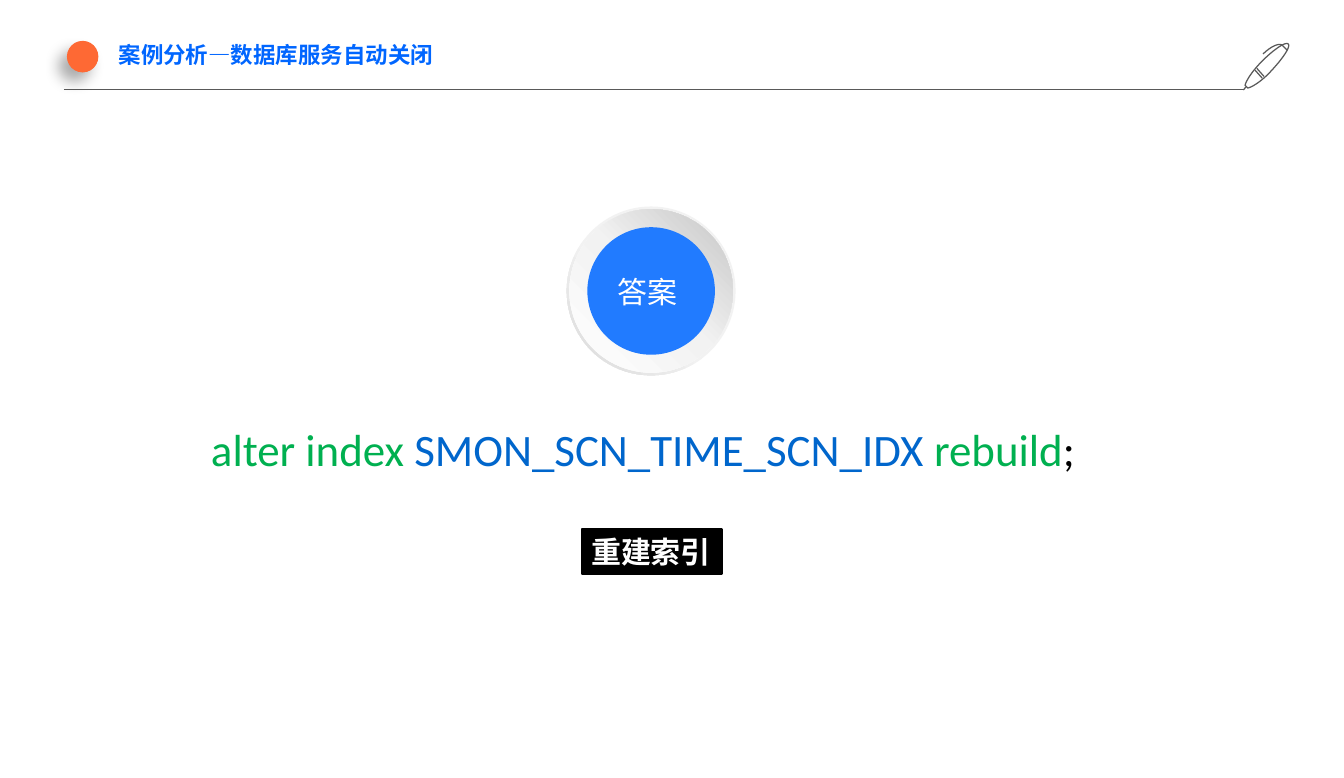
from copy import deepcopy
from lxml.etree import SubElement
from pptx import Presentation
from pptx.dml.color import RGBColor
from pptx.enum.shapes import MSO_CONNECTOR, MSO_SHAPE
from pptx.enum.text import MSO_ANCHOR, PP_ALIGN
from pptx.oxml.ns import qn
from pptx.util import Inches, Pt

WIDE, HIGH = Inches(14.96), Inches(8.66)
HUES = {
    "title": "0066FF", "dot": "FE6934", "rule": "595959", "disc": "217BFF",
    "key": "00B050", "name": "0066CC", "dark": "000000", "light": "FFFFFF",
}
RIM = [(0, "F2F2F2"), (55, "F2F2F2"), (100, "D9D9D9")]
BOWL = [(0, "FFFFFF"), (51, "F2F2F2"), (100, "C5C5C5")]
SANS, LATIN = "Noto Sans CJK SC", "Calibri"

# Pen strokes in hundredths of an inch: a start, then curves or straight ends
PEN = [
    [(21, 41), [(13, 32)]],
    [(15, 30), [(23, 39)]],
    [(50, 3), [(47, 0), (34, 9), (21, 22)], [(10, 33), (3, 44), (2, 49)],
     [(5, 52)], [(10, 51), (21, 44), (31, 33)], [(44, 19), (53, 6), (50, 3)]],
    [(3, 51), [(0, 54)]],
    [(49, 10), [(43, 4)], [(43, 4), (37, 0), (22, 14)]],
]


def rgb(hue):
    return RGBColor.from_string(HUES.get(hue, hue))


def across(share):
    """Length for a percentage of the slide's width."""
    return round(WIDE * share / 100)


def down(share):
    """Length for a percentage of the slide's height."""
    return round(HIGH * share / 100)


def area(left, top, width, height):
    return across(left), down(top), across(width), down(height)


def paint(shape, hue):
    shape.fill.solid()
    shape.fill.fore_color.rgb = rgb(hue)


def blend(shape, stops, angle):
    """Fill with a three-stop gradient; the angle runs counter-clockwise."""
    shape.fill.gradient()
    shape.fill.gradient_angle = angle
    ramp = shape._element.spPr.find(qn("a:gradFill")).find(qn("a:gsLst"))
    ramp.append(deepcopy(ramp[-1]))
    for stop, (spot, hue) in zip(shape.fill.gradient_stops, stops):
        stop.position = spot / 100
        stop.color.rgb = rgb(hue)


def shade(shape):
    """Cast a soft shadow to the lower left."""
    effects = shape._element.spPr.find(qn("a:effectLst"))
    cast = SubElement(effects, qn("a:outerShdw"), blurRad=str(Pt(12)),
                      dist=str(Pt(10)), dir=str(130 * 60000), algn="ctr",
                      rotWithShape="0")
    tone = SubElement(cast, qn("a:srgbClr"), val=HUES["dark"])
    SubElement(tone, qn("a:alpha"), val="32000")


def ring(slide, x, y, size, kind=MSO_SHAPE.OVAL):
    """Add a round shape by its centre and diameter."""
    side = across(size)
    shape = slide.shapes.add_shape(
        kind, across(x) - side // 2, down(y) - side // 2, side, side)
    shape.shadow.inherit = False
    shape.line.fill.background()
    return shape


def write(shape, runs, size, face, bold=False, wrap=False):
    """Set one left-aligned paragraph from pairs of text and colour."""
    frame = shape.text_frame
    frame.word_wrap = wrap
    frame.vertical_anchor = MSO_ANCHOR.TOP
    para = frame.paragraphs[0]
    para.alignment = PP_ALIGN.LEFT
    para.font.size, para.font.bold, para.font.name = Pt(size), bold, face
    if face == SANS:
        base = para._p.pPr.find(qn("a:defRPr"))
        SubElement(base, qn("a:ea"), typeface=face)
    for text, hue in runs:
        run = para.add_run()
        run.text = text
        run.font.color.rgb = rgb(hue)


def label(slide, place, runs, size, face, **style):
    box = slide.shapes.add_textbox(*area(*place))
    write(box, runs, size, face, **style)
    return box


def tag(slide, place, text):
    box = slide.shapes.add_shape(MSO_SHAPE.RECTANGLE, *area(*place))
    box.shadow.inherit = False
    paint(box, "dark")
    box.line.color.rgb = rgb("dark")
    box.line.width = Pt(2)
    write(box, [(text, "light")], 24, LATIN, bold=True)


def rule(slide, left, right, y):
    line = slide.shapes.add_connector(
        MSO_CONNECTOR.STRAIGHT, across(left), down(y), across(right), down(y))
    line.line.color.rgb = rgb("rule")
    line.line.width = Pt(0.75)
    SubElement(line._element.spPr, qn("a:effectLst"))


def bend(start, ends, steps=12):
    """Points along a cubic curve, or the end of a straight stroke."""
    if len(ends) == 1:
        return ends
    marks = [start, *ends]
    points = []
    for step in range(1, steps + 1):
        t = step / steps
        parts = ((1 - t) ** 3, 3 * t * (1 - t) ** 2, 3 * t * t * (1 - t), t ** 3)
        points.append(tuple(sum(p * m[i] for p, m in zip(parts, marks))
                            for i in (0, 1)))
    return points


def pen(slide, left, top):
    def spot(point):
        return (across(left) + Inches(point[0] / 100),
                down(top) + Inches(point[1] / 100))

    draft = slide.shapes.build_freeform(*spot(PEN[0][0]))
    for start, *curves in PEN:
        draft.move_to(*spot(start))
        last = start
        for ends in curves:
            draft.add_line_segments(
                [spot(p) for p in bend(last, ends)], close=False)
            last = ends[-1]
    shape = draft.convert_to_shape()
    shape.shadow.inherit = False
    shape.fill.background()
    shape.line.color.rgb = rgb("rule")
    shape.line.width = Pt(1)


def header(slide, text):
    shade_dot = ring(slide, 6.15, 7.27, 2.34)
    paint(shade_dot, "dot")
    shade(shade_dot)
    paint(ring(slide, 6.15, 7.33, 2.27), "dot")
    box = label(slide, (8.09, 4.62, 25.27, 4.85), [(text, "title")], 18, SANS,
                bold=True)
    frame = box.text_frame
    frame.margin_left = frame.margin_right = Inches(0.11)
    frame.margin_top = frame.margin_bottom = Inches(0.06)
    rule(slide, 4.75, 92.51, 11.55)
    pen(slide, 92.51, 5.31)


def badge(slide, text):
    x, y = 48.45, 37.4
    rim = ring(slide, x, y, 12.57, MSO_SHAPE.DONUT)
    rim.adjustments[0] = 0.05
    blend(rim, RIM, 225)
    blend(ring(slide, x, y, 12.17), BOWL, 45)
    paint(ring(slide, x, y, 9.49), "disc")
    label(slide, (45.32, 34.64, 6.28, 5.77), [(text, "light")], 24, SANS,
          wrap=True)


def main():
    deck = Presentation()
    deck.slide_width, deck.slide_height = WIDE, HIGH
    slide = deck.slides.add_slide(deck.slide_layouts[6])
    header(slide, "案例分析—数据库服务自动关闭")
    badge(slide, "答案")
    label(slide, (15.04, 53.58, 66.18, 8.2),
          [("alter index ", "key"), ("SMON_SCN_TIME_SCN_IDX ", "name"),
           ("rebuild", "key"), (";", "dark")], 36, LATIN)
    tag(slide, (43.32, 68.01, 10.36, 5.77), "重建索引")
    deck.save("out.pptx")


if __name__ == "__main__":
    main()
